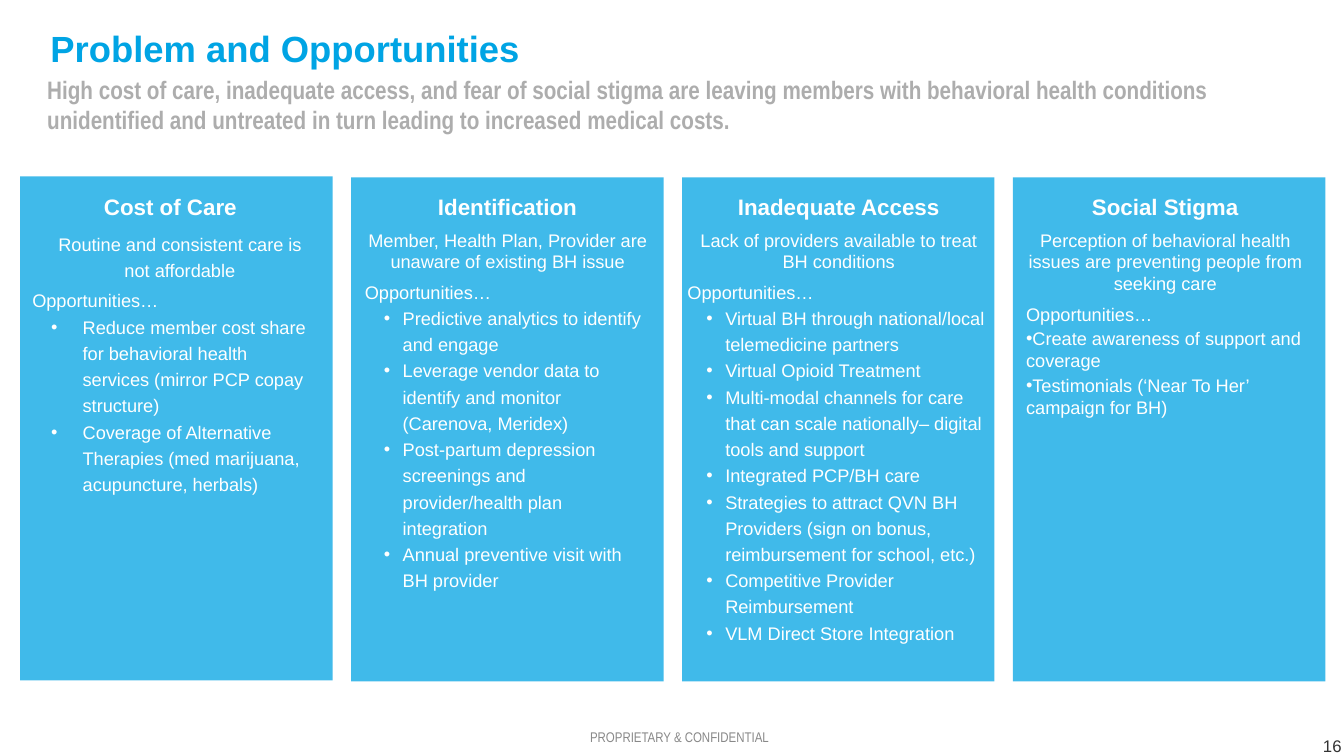
"""Builds the Problem and Opportunities slide."""
from lxml.etree import SubElement
from pptx import Presentation
from pptx.dml.color import RGBColor
from pptx.enum.shapes import MSO_SHAPE
from pptx.enum.text import MSO_ANCHOR, MSO_AUTO_SIZE, PP_ALIGN
from pptx.oxml.ns import qn
from pptx.util import Pt

BLUE = RGBColor(0x00, 0xA4, 0xE4)
WHITE = RGBColor(0xFF, 0xFF, 0xFF)
SILVER = RGBColor(0xAD, 0xAD, 0xAD)
GREY = RGBColor(0x89, 0x89, 0x89)
DARK = RGBColor(0x33, 0x33, 0x33)

PANEL_LEFT, PANEL_PITCH = 14.4, 236.4

COLUMNS = [
    dict(box=(23.04, 138.24, 197.28, 301.68), top=126, indent=(36, -22.5),
         intro_indent=13.5, intro_line=1.2,
         heading="Cost of Care",
         intro="Routine and consistent care is not affordable",
         items=["Reduce member cost share for behavioral health services (mirror PCP copay structure)",
                "Coverage of Alternative Therapies (med marijuana, acupuncture, herbals)"]),
    dict(box=(260.64, 138.24, 203.76, 331.92),
         heading="Identification",
         intro="Member, Health Plan, Provider are unaware of existing BH issue",
         items=["Predictive analytics to identify and engage",
                "Leverage vendor data to identify and monitor (Carenova, Meridex)",
                "Post-partum depression screenings and provider/health plan integration",
                "Annual preventive visit with BH provider"]),
    dict(box=(491.04, 138.24, 216, 360),
         heading="Inadequate Access",
         intro="Lack of providers available to treat BH conditions",
         items=["Virtual BH through national/local telemedicine partners",
                "Virtual Opioid Treatment",
                "Multi-modal channels for care that can scale nationally– digital tools and support",
                "Integrated PCP/BH care",
                "Strategies to attract QVN BH Providers (sign on bonus, reimbursement for school, etc.)",
                "Competitive Provider Reimbursement",
                "VLM Direct Store Integration"]),
    dict(box=(732.96, 138.24, 198.72, 237.6), indent=(0, 0), item_line=1, after=2, level=0,
         heading="Social Stigma",
         intro="Perception of behavioral health issues are preventing people from seeking care",
         items=["Create awareness of support and coverage",
                "Testimonials (‘Near To Her’ campaign for BH)"]),
]


class SlideBuilder:
    """Holds the text style and the slide being built."""

    def __init__(self, slide, font="Arial"):
        self.s = slide
        self.font = font

    def frame(self, sp, box, anchor=MSO_ANCHOR.TOP, inset=(0, 0)):
        """Place a text shape and return its prepared text frame."""
        sp.left, sp.top, sp.width, sp.height = (Pt(v) for v in box)
        tf = sp.text_frame
        tf.word_wrap = True
        tf.auto_size = MSO_AUTO_SIZE.NONE
        tf.vertical_anchor = anchor
        tf.margin_left = tf.margin_right = Pt(inset[0])
        tf.margin_top = tf.margin_bottom = Pt(inset[1])
        return tf

    def paragraph(self, p, text, size, color, bold=False, font=None, align=PP_ALIGN.LEFT,
                  line=1.0, after=0, level=0, indent=(0, 0), bullet=False):
        """Fill and format one paragraph."""
        p.text = text
        p.level = level
        p.alignment = align
        pPr = p._p.get_or_add_pPr()
        pPr.set("marL", str(Pt(indent[0])))
        pPr.set("indent", str(Pt(indent[1])))
        if bullet:
            SubElement(SubElement(pPr, qn("a:buClr")), qn("a:srgbClr"), val=str(color))
            SubElement(pPr, qn("a:buFont"), typeface="Arial")
            SubElement(pPr, qn("a:buChar"), char="•")
        else:
            SubElement(pPr, qn("a:buNone"))
        p.line_spacing = line
        p.space_before = Pt(0)
        p.space_after = Pt(after)
        for r in p.runs:
            r.font.name = font or self.font
            r.font.size = Pt(size)
            r.font.bold = bold
            r.font.color.rgb = color

    def title(self, text, box):
        """Fill the title placeholder."""
        tf = self.frame(self.s.shapes.title, box)
        self.paragraph(tf.paragraphs[0], text, 26, BLUE, bold=True, line=0.9)

    def label(self, text, box, size, color, anchor=MSO_ANCHOR.TOP, inset=(0, 0), **style):
        """Add a text box with one paragraph."""
        sp = self.s.shapes.add_textbox(*(Pt(v) for v in box))
        tf = self.frame(sp, box, anchor, inset)
        self.paragraph(tf.paragraphs[0], text, size, color, **style)

    def panel(self, left, top):
        """Add a translucent panel behind the text."""
        sp = self.s.shapes.add_shape(MSO_SHAPE.RECTANGLE, Pt(left), Pt(top), Pt(223.2), Pt(360))
        sp.shadow.inherit = False
        sp.fill.solid()
        sp.fill.fore_color.rgb = BLUE
        sp.line.fill.background()
        SubElement(sp._element.spPr.find(".//" + qn("a:srgbClr")), qn("a:alpha"), val="75000")
        self.s.shapes._spTree.insert(2, sp._element)

    def column(self, sp, box, heading, intro, items, indent=(27, -13.5), intro_indent=0,
               intro_line=1.0, item_line=1.2, after=0, level=1, top=126.72):
        """Fill a body placeholder with a heading, an introduction and a list."""
        tf = self.frame(sp, box)
        self.paragraph(tf.paragraphs[0], heading, 16, WHITE, bold=True,
                       align=PP_ALIGN.CENTER, after=6)
        self.paragraph(tf.add_paragraph(), intro, 13, WHITE, align=PP_ALIGN.CENTER,
                       line=intro_line, after=6, indent=(intro_indent, 0))
        self.paragraph(tf.add_paragraph(), "Opportunities…", 13, WHITE, after=after)
        for item in items:
            self.paragraph(tf.add_paragraph(), item, 13, WHITE, line=item_line, after=after,
                           level=level, indent=indent, bullet=True)


def main():
    prs = Presentation()
    prs.slide_width, prs.slide_height = Pt(960), Pt(540)
    s = prs.slides.add_slide(prs.slide_layouts.get_by_name("Comparison"))
    builder = SlideBuilder(s)
    builder.title("Problem and Opportunities", (36, 22.32, 888.48, 92.88))
    bodies = [sp for sp in s.placeholders if sp.placeholder_format.idx > 0]
    for i, (sp, column) in enumerate(zip(bodies, COLUMNS)):
        builder.panel(PANEL_LEFT + i * PANEL_PITCH, column.get("top", 126.72))
        builder.column(sp, **column)
    builder.label("High cost of care, inadequate access, and fear of social stigma are leaving "
                  "members with behavioral health conditions unidentified and untreated in turn "
                  "leading to increased medical costs.",
                  (26.64, 49.68, 872.64, 51.12), 18, SILVER, inset=(7.2, 3.6),
                  bold=True, font="Arial Narrow", after=14)
    builder.label("PROPRIETARY & CONFIDENTIAL", (298.8, 503.28, 372.96, 28.8), 10, GREY,
                  MSO_ANCHOR.BOTTOM, font="Arial Narrow", align=PP_ALIGN.CENTER)
    builder.label("16", (923.04, 511.2, 35.28, 28.8), 12, DARK,
                  MSO_ANCHOR.BOTTOM, align=PP_ALIGN.RIGHT)
    prs.save("out.pptx")


if __name__ == "__main__":
    main()
